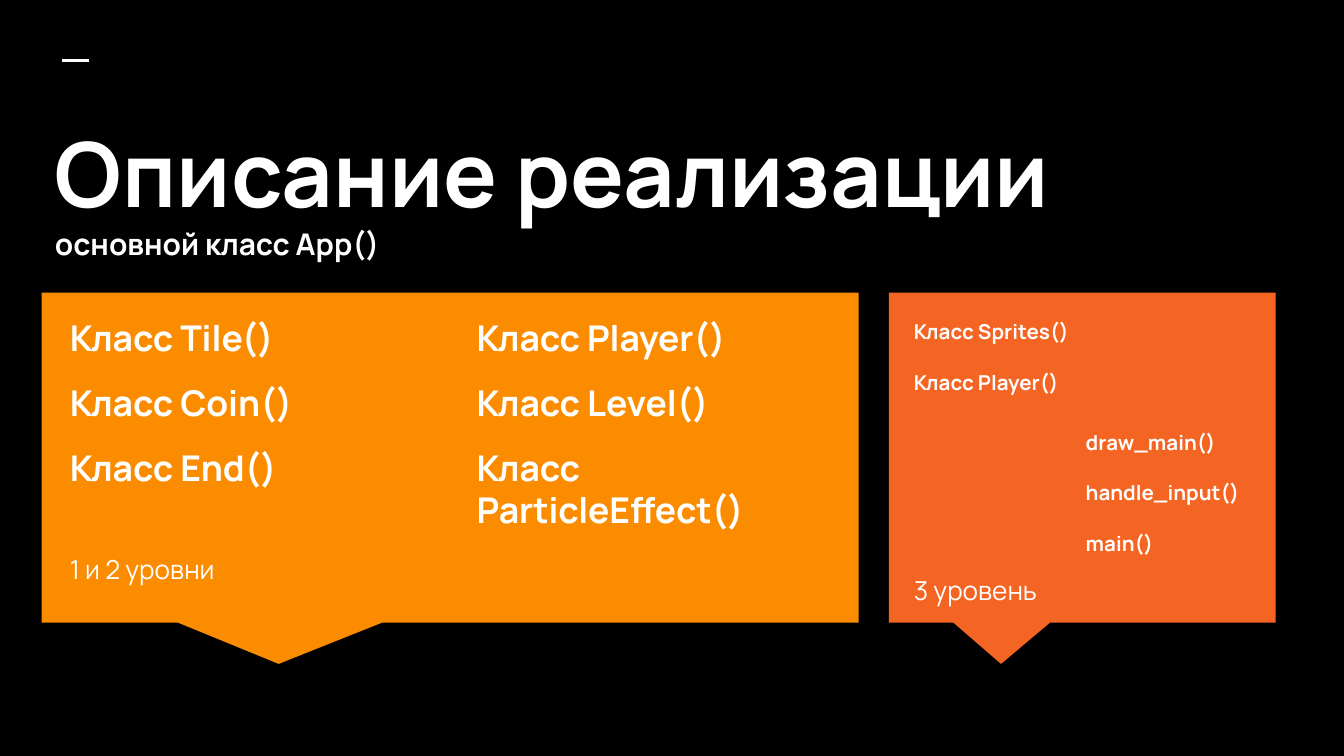
from dataclasses import dataclass

from lxml.etree import SubElement
from pptx import Presentation
from pptx.dml.color import RGBColor
from pptx.enum.shapes import MSO_CONNECTOR, MSO_SHAPE
from pptx.enum.text import MSO_ANCHOR
from pptx.oxml.ns import qn
from pptx.util import Cm, Pt


@dataclass(frozen=True)
class Theme:
    font: str = "Manrope"
    back: RGBColor = RGBColor(0x00, 0x00, 0x00)
    text: RGBColor = RGBColor(0xFF, 0xFF, 0xFF)
    amber: RGBColor = RGBColor(0xFB, 0x8C, 0x00)
    coral: RGBColor = RGBColor(0xF4, 0x65, 0x24)
    title: int = 48
    sub: int = 16
    large: int = 19
    small: int = 11
    note: int = 14
    gap: int = 12


THEME = Theme()


def add_dash(slide, left, top, width):
    dash = slide.shapes.add_connector(
        MSO_CONNECTOR.STRAIGHT, Cm(left), Cm(top), Cm(left + width), Cm(top))
    dash.line.color.rgb = THEME.text
    dash.line.width = Pt(1.5)
    SubElement(dash.element.spPr, qn("a:effectLst"))


def add_callout(slide, left, width, color):
    shape = slide.shapes.add_shape(
        MSO_SHAPE.RECTANGULAR_CALLOUT, Cm(left), Cm(5.53), Cm(width), Cm(6.24))
    shape.adjustments[0] = -0.21
    shape.adjustments[1] = 0.625
    shape.fill.solid()
    shape.fill.fore_color.rgb = color
    shape.line.fill.background()
    shape.shadow.inherit = False


def add_text(slide, box, lines, lead=1.0):
    """Add a text box; each line is (text, size, bold, space before)."""
    frame = slide.shapes.add_textbox(*map(Cm, box)).text_frame
    frame.word_wrap = True
    frame.vertical_anchor = MSO_ANCHOR.TOP
    frame.margin_left = frame.margin_right = Cm(0.25)
    frame.margin_top = frame.margin_bottom = Cm(0.25)
    frame.text = "\n".join(line[0] for line in lines)
    for para, (_, size, bold, space) in zip(frame.paragraphs, lines):
        para.line_spacing = lead
        para.space_before = Pt(space)
        font = para.runs[0].font
        font.name = THEME.font
        font.size = Pt(size)
        font.bold = bold
        font.color.rgb = THEME.text


def get_list(names, size):
    """Make bold lines with an even gap between them."""
    return [(name, size, True, THEME.gap if i else 0)
            for i, name in enumerate(names)]


def main():
    deck = Presentation()
    deck.slide_width, deck.slide_height = Cm(25.4), Cm(14.29)
    slide = deck.slides.add_slide(deck.slide_layouts[6])
    slide.background.fill.solid()
    slide.background.fill.fore_color.rgb = THEME.back

    add_dash(slide, 1.18, 1.15, 0.51)
    add_text(slide, (0.79, 1.98, 23.95, 2.84), [
        ("Описание реализации", THEME.title, True, 0),
        ("основной класс App()", THEME.sub, True, 0)])

    add_callout(slide, 0.79, 15.44, THEME.amber)
    add_callout(slide, 16.8, 7.31, THEME.coral)

    large, small = THEME.large, THEME.small
    add_text(slide, (17.02, 5.72, 7.72, 5.56),
             get_list(["Класс Sprites()", "Класс Player()"], small)
             + [("3 уровень", THEME.note, False, 93.5)], 1.15)
    add_text(slide, (1.07, 5.72, 7.44, 5.56),
             get_list(["Класс Tile()", "Класс Coin()", "Класс End()"], large)
             + [("1 и 2 уровни", THEME.note, False, 35)])
    add_text(slide, (8.76, 5.72, 7.44, 5.56), get_list(
        ["Класс Player()", "Класс Level()", "Класс ParticleEffect()"], large))
    add_text(slide, (20.27, 7.8, 3.86, 2.92), get_list(
        ["draw_main()", "handle_input()", "main()"], small), 1.15)

    deck.save("out.pptx")


if __name__ == "__main__":
    main()
